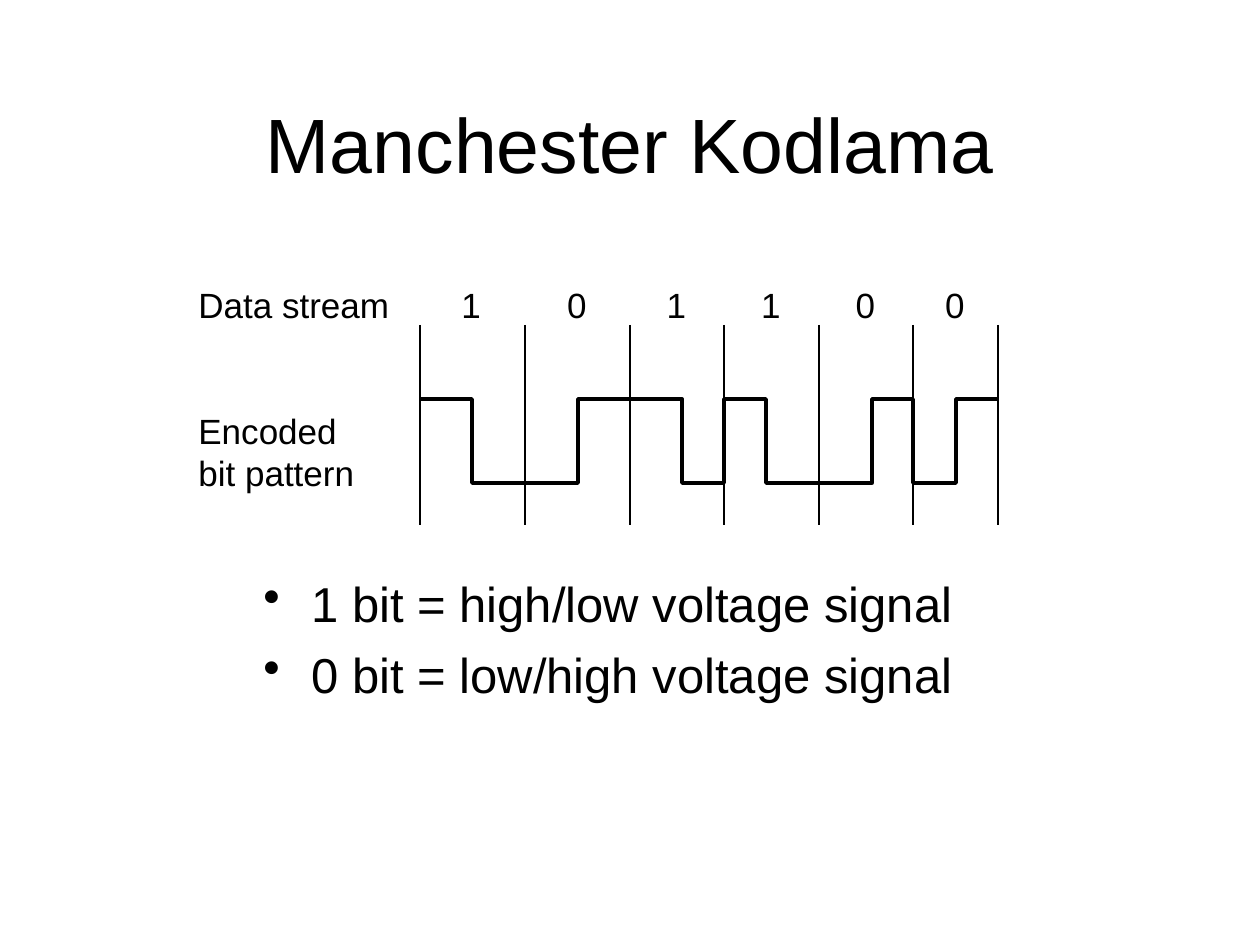
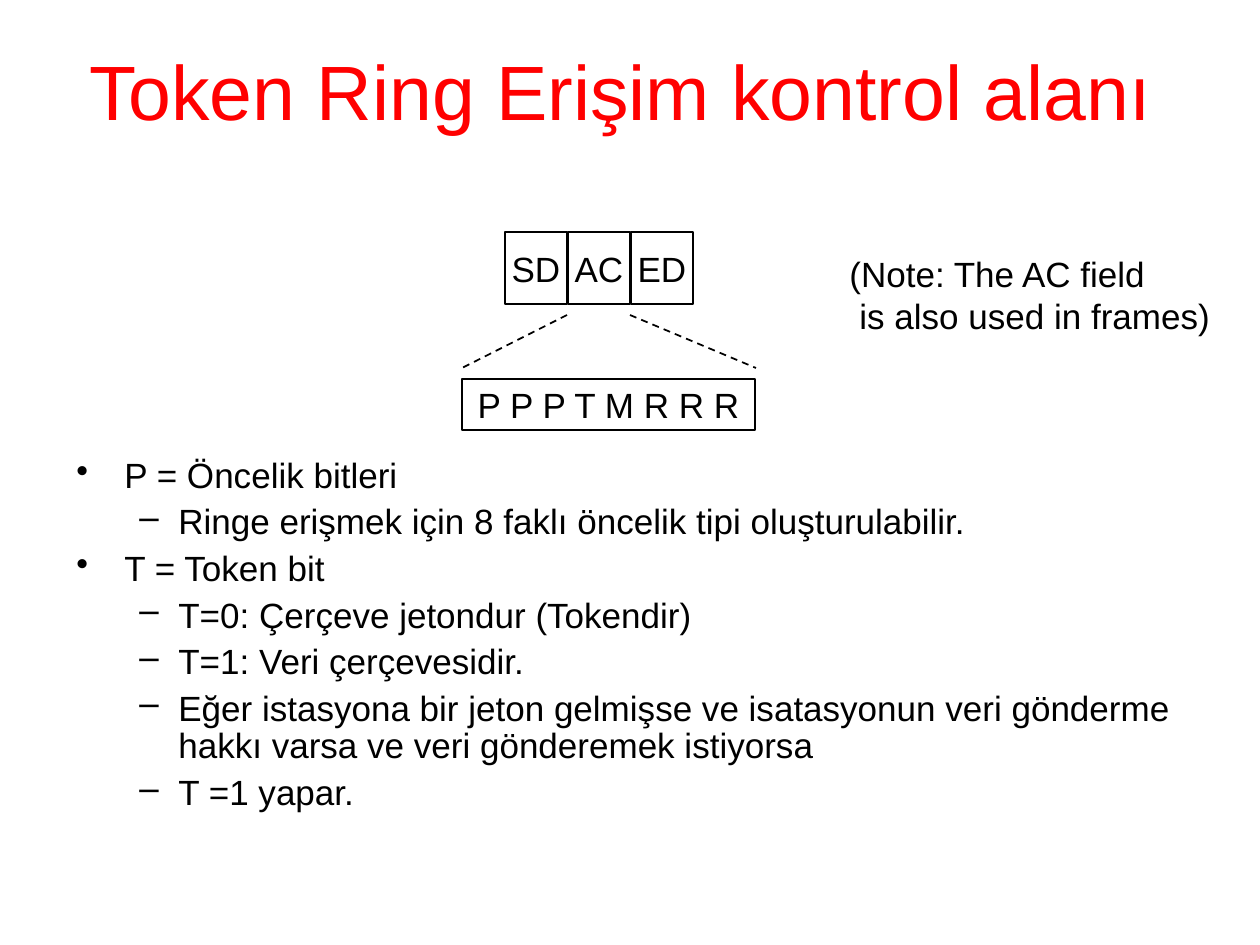
from lxml.etree import SubElement
from pptx import Presentation
from pptx.dml.color import RGBColor
from pptx.enum.dml import MSO_LINE
from pptx.enum.shapes import MSO_CONNECTOR, MSO_SHAPE
from pptx.enum.text import MSO_ANCHOR, PP_ALIGN
from pptx.oxml.ns import qn
from pptx.util import Pt

COLORS = {"ink": "000000", "paper": "FFFFFF", "alert": "FF0000"}
FONT = "Arial"
EMU_PER_PX = 914400 / 126
SLIDE_SIZE = (1260, 945)
TITLE_SIZE = 44
TEXT_SIZE = 20
INSET = 13

MANCHESTER_TITLE = "Manchester Kodlama"
BITS = "101100"
BIT_EDGES = [420, 525, 630, 724, 819, 913, 998]
BIT_MIDDLES = [472, 578, 682, 766, 872, 956]
EDGE_TOP, EDGE_BOTTOM = 325, 525
WAVE_HIGH, WAVE_LOW = 399, 483
STREAM_LABELS = ["Data stream", "Encoded", "bit pattern"]
VOLTAGE_RULES = [
    (0, "1 bit = high/low voltage signal"),
    (0, "0 bit = low/high voltage signal"),
]

TOKEN_TITLE = "Token Ring Erişim kontrol alanı"
TOKEN_FIELDS = ["SD", "AC", "ED"]
ACCESS_BITS = "P P P T M R R R"
ACCESS_NOTE = ["(Note: The AC field", "is also used in frames)"]
ZOOM_LINES = [((567, 315), (462, 368)), ((630, 315), (756, 368))]
ACCESS_RULES = [
    (0, "P = Öncelik bitleri"),
    (1, "Ringe erişmek için 8 faklı öncelik tipi oluşturulabilir."),
    (0, "T = Token bit"),
    (1, "T=0: Çerçeve jetondur (Tokendir)"),
    (1, "T=1: Veri çerçevesidir."),
    (1, "Eğer istasyona bir jeton gelmişse ve isatasyonun veri gönderme "
        "hakkı varsa ve veri gönderemek istiyorsa"),
    (1, "T =1 yapar."),
]
BULLETS = [("•", 48, 48), ("–", 102, 39)]


def px(value):
    return round(value * EMU_PER_PX)


def rgb(name):
    return RGBColor.from_string(COLORS[name])


def fill_text(shape, lines, size=TEXT_SIZE, color="ink", align=PP_ALIGN.LEFT,
              anchor=MSO_ANCHOR.TOP, wrap=False):
    frame = shape.text_frame
    frame.word_wrap = wrap
    frame.vertical_anchor = anchor
    frame.text = "\n".join(lines)
    for paragraph in frame.paragraphs:
        paragraph.alignment = align
        for run in paragraph.runs:
            run.font.name = FONT
            run.font.size = Pt(size)
            run.font.color.rgb = rgb(color)
    return frame.paragraphs


def add_text(slide, box, lines, **style):
    return fill_text(slide.shapes.add_textbox(*map(px, box)), lines, **style)


def add_title(slide, box, title, color="ink"):
    add_text(slide, box, [title], size=TITLE_SIZE, color=color,
             align=PP_ALIGN.CENTER, anchor=MSO_ANCHOR.BOTTOM, wrap=True)


def add_bullets(slide, box, items, size, gap, line_spacing=None):
    paragraphs = add_text(slide, box, [text for _, text in items], size=size, wrap=True)
    for index, (paragraph, (level, _)) in enumerate(zip(paragraphs, items)):
        mark, margin, hanging = BULLETS[level]
        paragraph.level = level
        properties = paragraph._p.get_or_add_pPr()
        properties.set("marL", str(px(margin)))
        properties.set("indent", str(-px(hanging)))
        SubElement(properties, qn("a:buChar"), char=mark)
        paragraph.line_spacing = line_spacing
        paragraph.space_before = Pt(gap if index else 0)


def add_line(slide, start, end, dash=None):
    line = slide.shapes.add_connector(MSO_CONNECTOR.STRAIGHT, *map(px, start + end))
    line.line.color.rgb = rgb("ink")
    line.line.width = Pt(1)
    line.line.dash_style = dash
    SubElement(line._element.spPr, qn("a:effectLst"))


def add_field(slide, box, label):
    field = slide.shapes.add_shape(MSO_SHAPE.RECTANGLE, *map(px, box))
    field.shadow.inherit = False
    field.fill.solid()
    field.fill.fore_color.rgb = rgb("paper")
    field.line.color.rgb = rgb("ink")
    field.line.width = Pt(1)
    fill_text(field, [label], align=PP_ALIGN.CENTER, anchor=MSO_ANCHOR.MIDDLE)


def add_wave(slide):
    points = []
    for bit, left, middle, right in zip(BITS, BIT_EDGES, BIT_MIDDLES, BIT_EDGES[1:]):
        first, second = (WAVE_HIGH, WAVE_LOW) if bit == "1" else (WAVE_LOW, WAVE_HIGH)
        points += [(left, first), (middle, first), (middle, second), (right, second)]
    builder = slide.shapes.build_freeform(*points[0], scale=EMU_PER_PX)
    builder.add_line_segments(points[1:], close=False)
    wave = builder.convert_to_shape()
    wave.shadow.inherit = False
    wave.fill.background()
    wave.line.color.rgb = rgb("ink")
    wave.line.width = Pt(2)


def add_bit_row(slide):
    left = 449
    row = add_text(slide, (left, 277, 532, 54), ["\t".join(BITS)], wrap=True)[0]
    tabs = SubElement(row._p.get_or_add_pPr(), qn("a:tabLst"))
    for start, end in zip(BIT_EDGES[1:], BIT_EDGES[2:]):
        stop = (start + end) / 2 - left - INSET
        SubElement(tabs, qn("a:tab"), pos=str(px(stop)), algn="ctr")


def build_manchester(slide):
    add_title(slide, (63, 38, 1134, 157), MANCHESTER_TITLE)
    add_bullets(slide, (251, 567, 946, 277), VOLTAGE_RULES, size=28, gap=7)
    add_wave(slide)
    for edge in BIT_EDGES:
        add_line(slide, (edge, EDGE_TOP), (edge, EDGE_BOTTOM))
    add_bit_row(slide)
    labels = add_text(slide, (186, 277, 217, 223), STREAM_LABELS)
    labels[1].space_before = Pt(48)


def build_token_ring(slide):
    add_title(slide, (54, 35, 1134, 107), TOKEN_TITLE, color="alert")
    add_bullets(slide, (64, 452, 1134, 416), ACCESS_RULES, size=TEXT_SIZE, gap=5,
                line_spacing=0.9)
    for index, label in enumerate(TOKEN_FIELDS):
        add_field(slide, (505 + 63 * index, 232, 62, 72), label)
    add_field(slide, (462, 379, 293, 51), ACCESS_BITS)
    for start, end in ZOOM_LINES:
        add_line(slide, start, end, dash=MSO_LINE.DASH)
    note = add_text(slide, (837, 246, 386, 97), ACCESS_NOTE)
    note[1]._p.get_or_add_pPr().set("marL", str(px(10)))


def main():
    presentation = Presentation()
    presentation.slide_width, presentation.slide_height = map(px, SLIDE_SIZE)
    for build in (build_manchester, build_token_ring):
        build(presentation.slides.add_slide(presentation.slide_layouts[6]))
    presentation.save("out.pptx")


if __name__ == "__main__":
    main()
